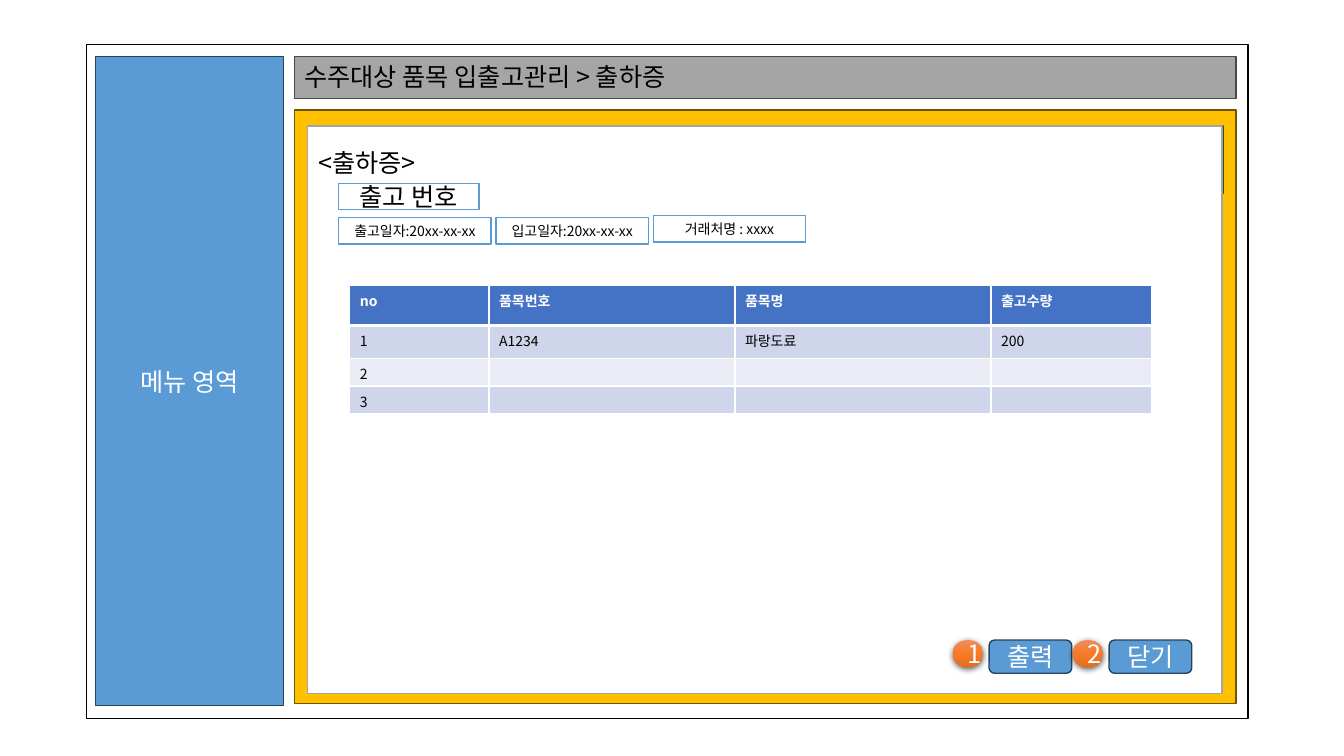
from lxml import etree
from pptx import Presentation
from pptx.dml.color import RGBColor
from pptx.enum import shapes, text
from pptx.oxml import ns, parse_xml
from pptx.util import Inches, Pt

FONT = "Noto Sans CJK KR"
COLORS = {
    "white": "FFFFFF", "black": "000000", "blue": "5B9BD5", "navy": "28445D",
    "gray": "A5A5A5", "dark_gray": "484848", "gold": "FFC000", "brown": "705400",
    "green": "70AD47", "dark_green": "314C1F", "header": "4472C4",
    "band": "CFD5EA", "light_band": "E9EBF5",
    "badge_top": "F18C57", "badge_middle": "F67B28", "badge_bottom": "E56C19",
}
DRAWING = f'xmlns:a="{ns.nsuri("a")}"'
RECT = shapes.MSO_SHAPE.RECTANGLE
ROUNDED = shapes.MSO_SHAPE.ROUNDED_RECTANGLE
OVAL = shapes.MSO_SHAPE.OVAL


def rgb(color):
    return RGBColor.from_string(COLORS[color])


def add_run(paragraph, wording, size, color, bold=False):
    run = paragraph.add_run()
    run.text = wording
    run.font.name = FONT
    run.font.size = Pt(size)
    run.font.bold = bold
    run.font.color.rgb = rgb(color)
    east_asian = etree.SubElement(run.font._element, ns.qn("a:ea"))
    east_asian.set("typeface", FONT)


def add_panel(slide, box, fill, line, wording="", size=18, color="white", kind=RECT):
    panel = slide.shapes.add_shape(kind, *map(Inches, box))
    panel.shadow.inherit = False
    panel.fill.solid()
    panel.fill.fore_color.rgb = rgb(fill)
    panel.line.color.rgb = rgb(line)
    panel.line.width = Pt(1)
    if wording:
        panel.text_frame.vertical_anchor = text.MSO_ANCHOR.MIDDLE
        paragraph = panel.text_frame.paragraphs[0]
        paragraph.alignment = text.PP_ALIGN.CENTER
        add_run(paragraph, wording, size, color)
    return panel


def add_field(slide, box, wording, size=10):
    add_panel(slide, box, "white", "blue", wording, size, "black")


def add_heading(slide, box, wording):
    heading = slide.shapes.add_textbox(*map(Inches, box))
    heading.text_frame.word_wrap = True
    add_run(heading.text_frame.paragraphs[0], wording, 18, "black")


def add_badge(slide, left, top, number):
    badge = add_panel(slide, (left, top, 0.3, 0.27), "badge_middle", "badge_middle",
                      number, kind=OVAL)
    badge.line.fill.background()
    properties = badge._element.spPr
    stops = "".join(
        f'<a:gs pos="{position}"><a:srgbClr val="{COLORS[color]}"/></a:gs>'
        for position, color in ((0, "badge_top"), (50000, "badge_middle"),
                                (100000, "badge_bottom")))
    gradient = parse_xml(f'<a:gradFill {DRAWING} rotWithShape="1"><a:gsLst>{stops}</a:gsLst>'
                         '<a:lin ang="5400000" scaled="0"/></a:gradFill>')
    properties.replace(properties.find(ns.qn("a:solidFill")), gradient)
    shadow = parse_xml(
        f'<a:outerShdw {DRAWING} blurRad="{Pt(4.5)}" dist="{Pt(1.5)}" dir="5400000" '
        f'algn="ctr" rotWithShape="0"><a:srgbClr val="{COLORS["black"]}">'
        '<a:alpha val="63000"/></a:srgbClr></a:outerShdw>')
    properties.find(ns.qn("a:effectLst")).append(shadow)


def add_button(slide, left, top, number, wording):
    add_badge(slide, left, top, number)
    add_panel(slide, (left + 0.36, top, 0.82, 0.33), "blue", "navy", wording, kind=ROUNDED)


def set_borders(cell, row):
    widths = {"L": 1, "R": 1, "T": 3 if row == 1 else 1, "B": 3 if row == 0 else 1}
    properties = cell._tc.get_or_add_tcPr()
    for side, width in widths.items():
        properties.append(parse_xml(
            f'<a:ln{side} {DRAWING} w="{Pt(width)}"><a:solidFill>'
            f'<a:srgbClr val="{COLORS["white"]}"/></a:solidFill></a:ln{side}>'))


def add_item_table(slide, left, top, widths, heights, rows):
    frame = slide.shapes.add_table(len(rows), len(widths), Inches(left), Inches(top),
                                   Inches(sum(widths)), Inches(sum(heights)))
    items = frame.table
    for column, width in zip(items.columns, widths):
        column.width = Inches(width)
    for r, (row, height) in enumerate(zip(rows, heights)):
        items.rows[r].height = Inches(height)
        fill = "header" if r == 0 else ("light_band", "band")[r % 2]
        for c, wording in enumerate(row):
            cell = items.cell(r, c)
            set_borders(cell, r)
            cell.fill.solid()
            cell.fill.fore_color.rgb = rgb(fill)
            paragraph = cell.text_frame.paragraphs[0]
            if wording:
                add_run(paragraph, wording, 10, "black" if r else "white", r == 0)
            else:
                end = etree.SubElement(paragraph._p, ns.qn("a:endParaRPr"))
                end.set("sz", "1000")


def main():
    deck = Presentation()
    deck.slide_width, deck.slide_height = Inches(13.33), Inches(7.5)
    slide = deck.slides.add_slide(deck.slide_layouts[6])

    add_panel(slide, (0.86, 0.44, 11.52, 6.69), "white", "black")
    add_panel(slide, (0.95, 0.56, 1.86, 6.44), "blue", "navy", "메뉴 영역")
    add_panel(slide, (2.92, 0.56, 9.34, 0.42), "gray", "dark_gray")
    add_panel(slide, (2.92, 1.09, 9.34, 5.89), "gold", "brown")
    add_panel(slide, (3.06, 1.25, 9.07, 0.67), "green", "dark_green")
    add_panel(slide, (3.05, 1.25, 9.07, 5.63), "white", "gray")

    add_heading(slide, (2.92, 0.56, 5.26, 0.4), "수주대상 품목 입출고관리 > 출하증")
    add_heading(slide, (3.06, 1.41, 2.33, 0.4), "<출하증>")

    add_field(slide, (3.36, 1.82, 1.39, 0.26), "출고 번호", 18)
    details = (("출고일자:20xx-xx-xx", 2.16), ("입고일자:20xx-xx-xx", 2.16),
               ("거래처명 : xxxx", 2.14))
    for i, (wording, top) in enumerate(details):
        add_field(slide, (3.36 + 1.56 * i, top, 1.51, 0.26), wording)

    add_item_table(slide, 3.47, 2.83, (1.38, 2.44, 2.54, 1.59), (0.4, 0.33, 0.27, 0.27), (
        ("no", "품목번호", "품목명", "출고수량"),
        ("1", "A1234", "파랑도료", "200"),
        ("2", "", "", ""),
        ("3", "", "", ""),
    ))

    for i, wording in enumerate(("출력", "닫기")):
        add_button(slide, 9.45 + 1.19 * i, 6.35, str(i + 1), wording)

    deck.save("out.pptx")


if __name__ == "__main__":
    main()
